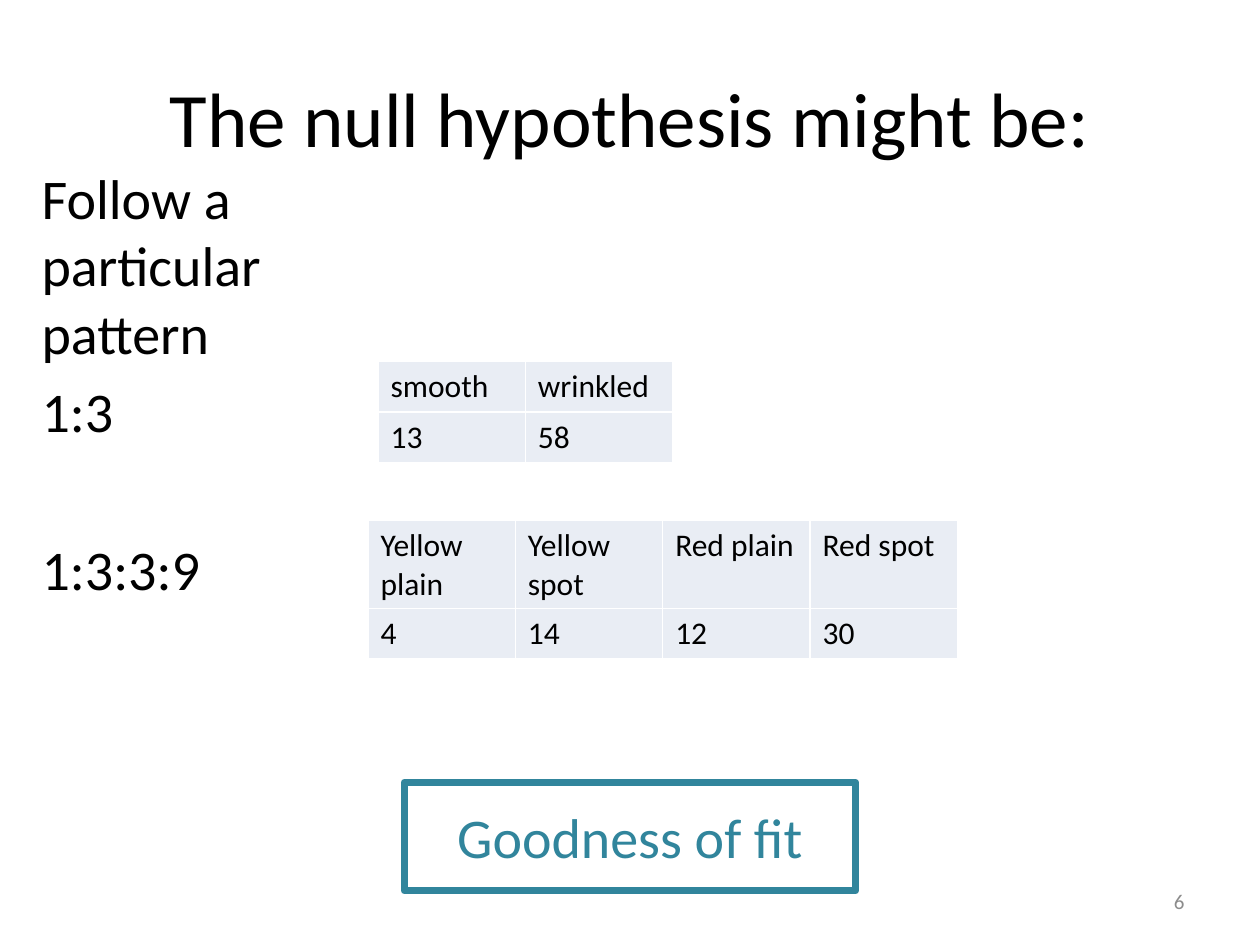
import pptx
import pptx.dml.color
import pptx.enum.shapes
import pptx.enum.text
import pptx.oxml
import pptx.oxml.ns
import pptx.util
from pptx.util import Inches

COLOURS = {
    "text": "000000",
    "number": "8C8C8C",
    "cell": "E9EDF4",
    "border": "FFFFFF",
    "accent": "31859C",
}
ALIGN = pptx.enum.text.PP_ALIGN
MIDDLE = pptx.enum.text.MSO_ANCHOR.MIDDLE
DRAWING = pptx.oxml.ns.nsdecls("a")


def colour(name):
    return pptx.dml.color.RGBColor.from_string(COLOURS[name])


class PageBuilder:
    """Holds the style and the current page."""

    font_name = "Calibri"

    def __init__(self, deck):
        self.page = deck.slides.add_slide(deck.slide_layouts[5])

    def add_words(self, para, text, size, tint="text", **layout):
        for name, value in layout.items():
            setattr(para, name, value)
        span = para.add_run()
        span.text = text
        formats = {"name": self.font_name, "size": pptx.util.Pt(size), "bold": False}
        for name, value in formats.items():
            setattr(span.font, name, value)
        span.font.color.rgb = colour(tint)

    def title(self, text, left, top, width, height):
        box = self.page.shapes.title
        places = {"left": left, "top": top, "width": width, "height": height}
        for name, value in places.items():
            setattr(box, name, Inches(value))
        box.text_frame.vertical_anchor = MIDDLE
        self.add_words(box.text_frame.paragraphs[0], text, 44, alignment=ALIGN.CENTER)

    def text(self, lines, left, top, width, height, size, tint="text",
             alignment=ALIGN.LEFT, anchor=pptx.enum.text.MSO_ANCHOR.TOP):
        """Each line is a pair of its words and the space before it in points."""
        box = self.page.shapes.add_textbox(*map(Inches, (left, top, width, height)))
        frame = box.text_frame
        frame.word_wrap = True
        frame.vertical_anchor = anchor
        for index, (words, gap) in enumerate(lines):
            para = frame.add_paragraph() if index else frame.paragraphs[0]
            self.add_words(para, words, size, tint, alignment=alignment,
                           space_before=pptx.util.Pt(gap))
        return box

    def table(self, rows, left, top, column_width, row_heights):
        columns = len(rows[0])
        frame = self.page.shapes.add_table(
            len(rows), columns, Inches(left), Inches(top),
            Inches(column_width * columns), Inches(sum(row_heights)))
        table = frame.table
        table.first_row = table.horz_banding = False
        for column in table.columns:
            column.width = Inches(column_width)
        for row, height, values in zip(table.rows, row_heights, rows):
            row.height = Inches(height)
            for cell, value in zip(row.cells, values):
                self.add_words(cell.text_frame.paragraphs[0], value, 18)
                self.borders(cell)
                cell.fill.solid()
                cell.fill.fore_color.rgb = colour("cell")

    def borders(self, cell):
        properties = cell._tc.get_or_add_tcPr()
        for side in ("lnL", "lnR", "lnT", "lnB"):
            properties.append(pptx.oxml.parse_xml(
                f'<a:{side} {DRAWING} w="12700"><a:solidFill>'
                f'<a:srgbClr val="{COLOURS["border"]}"/></a:solidFill></a:{side}>'))

    def frame(self, text, left, top, width, height):
        shape = self.page.shapes.add_shape(
            pptx.enum.shapes.MSO_SHAPE.RECTANGLE,
            *map(Inches, (left, top, width, height)))
        shape.shadow.inherit = False
        shape.fill.background()
        shape.line.color.rgb = colour("accent")
        shape.line.width = pptx.util.Pt(4.25)
        shape.line._get_or_add_ln().append(
            pptx.oxml.parse_xml(f"<a:round {DRAWING}/>"))
        shape.text_frame.vertical_anchor = MIDDLE
        self.add_words(shape.text_frame.paragraphs[0], text, 32, "accent",
                       alignment=ALIGN.CENTER)


def main():
    deck = pptx.Presentation()
    deck.slide_width, deck.slide_height = Inches(10), Inches(7.5)
    builder = PageBuilder(deck)

    # Title and expected ratios
    builder.title("The null hypothesis might be:", 0.5, 0.3, 9, 1.25)
    ratios = builder.text(
        [("Follow a particular pattern", 0), ("1:3", 6.4), ("1:3:3:9", 52)],
        0.17, 1.25, 2.92, 4.08, 32)
    ratios.text_frame.margin_left = Inches(0.16)

    # Observed counts
    builder.table([["smooth", "wrinkled"], ["13", "58"]],
                  3, 2.87, 1.17, [0.4, 0.4])
    builder.table([["Yellow plain", "Yellow spot", "Red plain", "Red spot"],
                   ["4", "14", "12", "30"]],
                  2.92, 4.13, 1.17, [0.7, 0.4])

    # Name of the test and page number
    builder.frame("Goodness of fit", 3.21, 6.21, 3.58, 0.86)
    builder.text([("6", 0)], 7.17, 6.95, 2.33, 0.4, 12, "number",
                 ALIGN.RIGHT, MIDDLE)

    deck.save("out.pptx")


if __name__ == "__main__":
    main()
